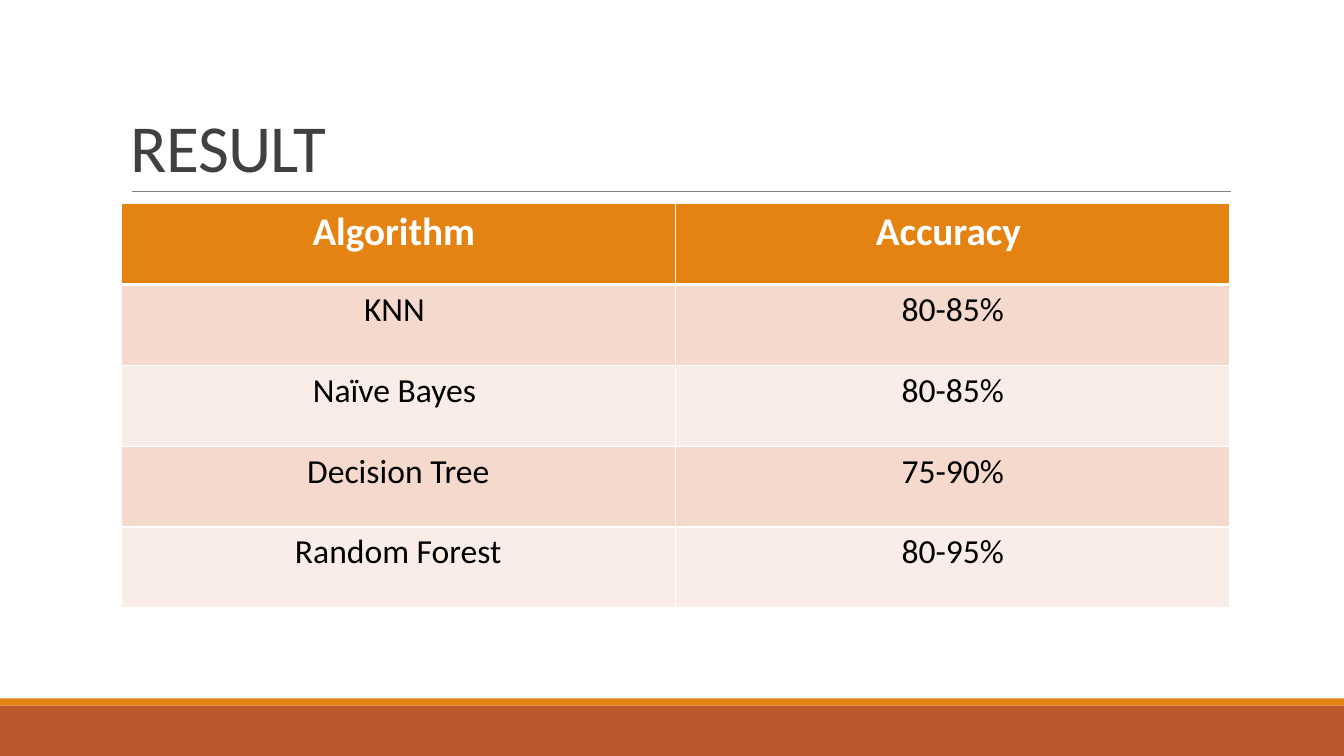
import dataclasses

import pptx
import pptx.dml.color
import pptx.enum.shapes
import pptx.enum.text
import pptx.oxml
import pptx.oxml.ns
import pptx.util
from pptx.util import Inches


@dataclasses.dataclass(frozen=True)
class Theme:
    font: str = "Calibri"
    accent: str = "E48312"
    footer: str = "BD582C"
    rule: str = "808080"
    title: str = "404040"
    body: str = "000000"
    white: str = "FFFFFF"
    bands: tuple = ("F5D9CC", "FAEDE7")
    title_size: int = 48
    header_size: int = 28
    body_size: int = 24


def rgb(value):
    return pptx.dml.color.RGBColor.from_string(value)


class SlideBuilder:
    def __init__(self, slide, theme):
        self.slide = slide
        self.theme = theme

    def style_run(self, r, size, color, bold=False):
        r.font.name = self.theme.font
        r.font.size = pptx.util.Pt(size)
        r.font.bold = bold
        r.font.color.rgb = rgb(color)

    def bar(self, top, height, color):
        sp = self.slide.shapes.add_shape(
            pptx.enum.shapes.MSO_SHAPE.RECTANGLE,
            0, Inches(top), Inches(13.33), Inches(height))
        sp.shadow.inherit = False
        sp.fill.solid()
        sp.fill.fore_color.rgb = rgb(color)
        sp.line.fill.background()

    def rule(self, left, right, y):
        line = self.slide.shapes.add_connector(
            pptx.enum.shapes.MSO_CONNECTOR.STRAIGHT,
            Inches(left), Inches(y), Inches(right), Inches(y))
        line.line.color.rgb = rgb(self.theme.rule)
        line.line.width = pptx.util.Pt(0.5)
        sp_pr = line._element.spPr
        sp_pr.append(pptx.oxml.parse_xml(
            f'<a:effectLst {pptx.oxml.ns.nsdecls("a")}/>'))

    def title(self, text, left, top, width, height):
        box = self.slide.shapes.add_textbox(
            Inches(left), Inches(top), Inches(width), Inches(height))
        tf = box.text_frame
        tf.word_wrap = True
        tf.vertical_anchor = pptx.enum.text.MSO_ANCHOR.BOTTOM
        tf.text = text
        p = tf.paragraphs[0]
        p.line_spacing = 0.85
        r = p.runs[0]
        self.style_run(r, self.theme.title_size, self.theme.title)
        r.font._element.set("spc", "-50")

    def cell_borders(self, cell, **widths):
        """Add white borders, given in points in the order lnL, lnR, lnT, lnB."""
        tc_pr = cell._tc.get_or_add_tcPr()
        for tag, width in widths.items():
            tc_pr.append(pptx.oxml.parse_xml(
                f'<a:{tag} {pptx.oxml.ns.nsdecls("a")} w="{pptx.util.Pt(width)}">'
                f'<a:solidFill><a:srgbClr val="{self.theme.white}"/></a:solidFill>'
                f'</a:{tag}>'))

    def table(self, rows, left, top, width, height):
        """Add a table whose first row is the header, with banded rows below."""
        theme = self.theme
        table = self.slide.shapes.add_table(
            len(rows), len(rows[0]), Inches(left), Inches(top),
            Inches(width), Inches(height)).table
        table.first_row = table.horz_banding = False
        for i, row in enumerate(rows):
            header = i == 0
            fill = theme.accent if header else theme.bands[(i - 1) % 2]
            size = theme.header_size if header else theme.body_size
            color = theme.white if header else theme.body
            for j, text in enumerate(row):
                cell = table.cell(i, j)
                self.cell_borders(cell, lnL=1, lnR=1, lnT=3 if i == 1 else 1,
                                  lnB=3 if header else 1)
                cell.fill.solid()
                cell.fill.fore_color.rgb = rgb(fill)
                cell.text_frame.text = text
                p = cell.text_frame.paragraphs[0]
                p.alignment = pptx.enum.text.PP_ALIGN.CENTER
                self.style_run(p.runs[0], size, color, bold=header)


def main():
    prs = pptx.Presentation()
    prs.slide_width = Inches(13.33)
    prs.slide_height = Inches(7.5)
    theme = Theme()
    s = SlideBuilder(prs.slides.add_slide(prs.slide_layouts[6]), theme)
    s.bar(7, 0.5, theme.footer)
    s.bar(6.93, 0.07, theme.accent)
    s.rule(1.31, 12.21, 1.9)
    s.title("RESULT", 1.2, 0.31, 11, 1.59)
    s.table([
        ("Algorithm ", "Accuracy "),
        ("KNN ", "80-85%"),
        ("Naïve Bayes ", "80-85%"),
        ("Decision Tree", "75-90%"),
        ("Random Forest", "80-95%"),
    ], 1.2, 2.02, 11, 4.01)
    prs.save("out.pptx")


if __name__ == "__main__":
    main()
